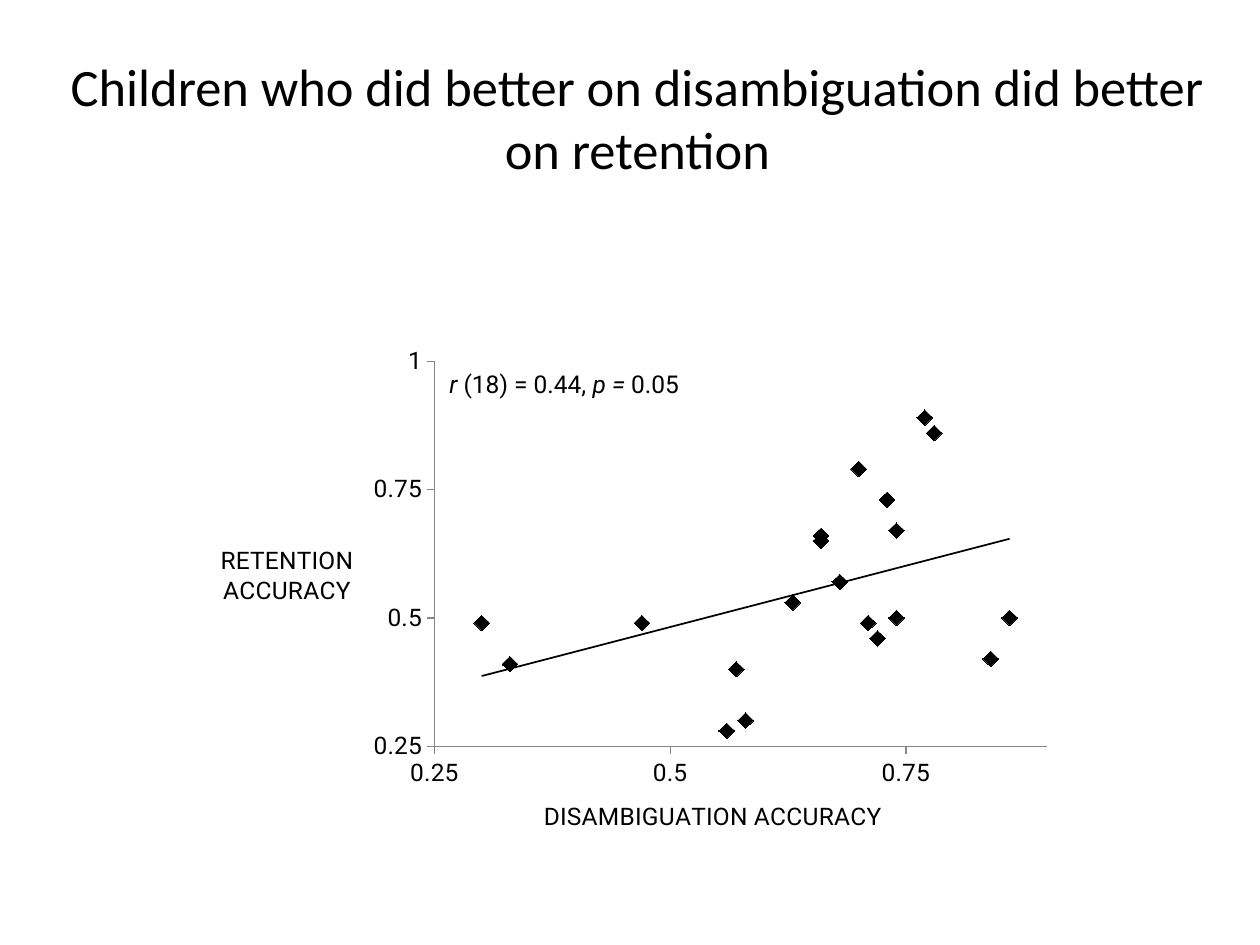
from dataclasses import dataclass

from lxml.etree import SubElement
from pptx import Presentation
from pptx.chart.data import XyChartData
from pptx.dml.color import RGBColor
from pptx.enum.chart import XL_CHART_TYPE, XL_MARKER_STYLE, XL_TICK_LABEL_POSITION, XL_TICK_MARK
from pptx.enum.shapes import MSO_SHAPE
from pptx.enum.text import MSO_ANCHOR, MSO_AUTO_SIZE, PP_ALIGN
from pptx.oxml import parse_xml
from pptx.oxml.ns import nsdecls, qn
from pptx.util import Emu, Pt

PIXEL = 914400 / 126
BLACK = RGBColor(0x00, 0x00, 0x00)
WHITE = RGBColor(0xFF, 0xFF, 0xFF)
AXIS_GRAY = RGBColor(0x86, 0x86, 0x86)
HEADING_FONT = "Calibri"
CHART_FONT = "Roboto"

POINTS = [
    (0.68, 0.57), (0.84, 0.42), (0.57, 0.4), (0.66, 0.65), (0.66, 0.66),
    (0.7, 0.79), (0.73, 0.73), (0.71, 0.49), (0.63, 0.53), (0.58, 0.3),
    (0.3, 0.49), (0.56, 0.28), (0.74, 0.5), (0.72, 0.46), (0.86, 0.5),
    (0.33, 0.41), (0.47, 0.49), (0.78, 0.86), (0.77, 0.89), (0.74, 0.67),
]


@dataclass(frozen=True)
class Box:
    """A rectangle in whole pixels."""

    left: int
    top: int
    width: int
    height: int

    def emu(self) -> tuple:
        """Return the rectangle in EMU."""
        return tuple(Emu(round(side * PIXEL)) for side in (self.left, self.top, self.width, self.height))


@dataclass(frozen=True)
class TextRun:
    """A stretch of text in one style."""

    text: str
    italic: bool = False


@dataclass(frozen=True)
class AxisStyle:
    """The title, its place in the chart and the range of one axis."""

    title_lines: tuple
    title_x: float
    title_y: float
    maximum: float


TITLE_BOX = Box(39, 38, 1197, 158)
STATISTIC_BOX = Box(437, 363, 335, 43)
CHART_BOX = Box(181, 321, 896, 518)
HORIZONTAL = AxisStyle(("DISAMBIGUATION ACCURACY",), 0.4, 0.93, 0.9)
VERTICAL = AxisStyle(("RETENTION", "ACCURACY"), 0.04, 0.43, 1)
STATISTIC = (TextRun("r", True), TextRun(" (18) = 0.44, "), TextRun("p = ", True), TextRun("0.05"))


def style_font(font, name: str, size: int) -> None:
    """Apply a plain black font."""
    font.name = name
    font.size = Pt(size)
    font.bold = False
    font.color.rgb = BLACK


def add_run(paragraph, text_run: TextRun, name: str, size: int) -> None:
    """Append one styled run to a paragraph."""
    run = paragraph.add_run()
    run.text = text_run.text
    style_font(run.font, name, size)
    run.font.italic = text_run.italic


def add_title(slide) -> None:
    """Place and fill the title placeholder."""
    title = slide.shapes.title
    title.left, title.top, title.width, title.height = TITLE_BOX.emu()
    title.text_frame.vertical_anchor = MSO_ANCHOR.MIDDLE
    paragraph = title.text_frame.paragraphs[0]
    paragraph.alignment = PP_ALIGN.CENTER
    heading = TextRun("Children who did better on disambiguation did better on retention")
    add_run(paragraph, heading, HEADING_FONT, 30)


def add_statistic(slide) -> None:
    """Draw the correlation label."""
    shape = slide.shapes.add_shape(MSO_SHAPE.RECTANGLE, *STATISTIC_BOX.emu())
    shape.shadow.inherit = False
    shape.fill.solid()
    shape.fill.fore_color.rgb = WHITE
    shape.line.fill.background()
    frame = shape.text_frame
    frame.word_wrap = True
    frame.auto_size = MSO_AUTO_SIZE.SHAPE_TO_FIT_TEXT
    frame.vertical_anchor = MSO_ANCHOR.TOP
    paragraph = frame.paragraphs[0]
    paragraph.alignment = PP_ALIGN.LEFT
    for text_run in STATISTIC:
        add_run(paragraph, text_run, CHART_FONT, 14)


def set_layout(element, **settings) -> None:
    """Give a chart part a manual layout."""
    layout = element.find(qn("c:layout"))
    if layout is None:
        layout = parse_xml(f"<c:layout {nsdecls('c')}/>")
        element.insert(0, layout)
    manual = SubElement(layout, qn("c:manualLayout"))
    for name, value in settings.items():
        SubElement(manual, qn(f"c:{name}")).set("val", str(value))


def style_axis(axis, style: AxisStyle) -> None:
    """Format one axis and its title."""
    axis.minimum_scale = 0.25
    axis.maximum_scale = style.maximum
    axis.major_unit = 0.25
    axis.has_major_gridlines = False
    axis.major_tick_mark = XL_TICK_MARK.OUTSIDE
    axis.minor_tick_mark = XL_TICK_MARK.NONE
    axis.tick_label_position = XL_TICK_LABEL_POSITION.LOW
    axis.tick_labels.number_format = "General"
    axis.tick_labels.number_format_is_linked = False
    style_font(axis.tick_labels.font, CHART_FONT, 14)
    axis.format.line.color.rgb = AXIS_GRAY
    axis.format.line.width = Pt(0.75)
    frame = axis.axis_title.text_frame
    for index, line in enumerate(style.title_lines):
        paragraph = frame.add_paragraph() if index else frame.paragraphs[0]
        paragraph.alignment = PP_ALIGN.CENTER
        add_run(paragraph, TextRun(line), CHART_FONT, 14)
    body = axis.axis_title._element.find(".//" + qn("a:bodyPr"))
    body.set("rot", "0")
    body.set("vert", "horz")
    set_layout(axis.axis_title._element, xMode="edge", yMode="edge", x=style.title_x, y=style.title_y)


def add_trend_line(series) -> None:
    """Add a thin linear trend line to a series."""
    trend_line = parse_xml(
        f'<c:trendline {nsdecls("c", "a")}><c:spPr><a:ln w="12700"><a:solidFill>'
        f'<a:srgbClr val="{BLACK}"/></a:solidFill></a:ln></c:spPr>'
        '<c:trendlineType val="linear"/><c:dispRSqr val="0"/><c:dispEq val="0"/></c:trendline>'
    )
    series._element.find(qn("c:xVal")).addprevious(trend_line)


def clear_backgrounds(chart) -> None:
    """Make the chart and plot areas transparent."""
    area = f"<c:spPr {nsdecls('c', 'a')}><a:noFill/><a:ln><a:noFill/></a:ln></c:spPr>"
    chart_element = chart._chartSpace.find(qn("c:chart"))
    chart_element.addnext(parse_xml(area))
    chart_element.find(qn("c:plotArea")).append(parse_xml(area))


def add_scatter(slide) -> None:
    """Draw the scatter chart of retention against disambiguation."""
    data = XyChartData()
    points = data.add_series("Series 1")
    for horizontal, vertical in POINTS:
        points.add_data_point(horizontal, vertical)
    chart = slide.shapes.add_chart(XL_CHART_TYPE.XY_SCATTER, *CHART_BOX.emu(), data).chart
    chart.has_legend = False
    chart.has_title = False
    style_font(chart.font, HEADING_FONT, 10)
    chart.plots[0].vary_by_categories = False
    style_axis(chart.category_axis, HORIZONTAL)
    style_axis(chart.value_axis, VERTICAL)
    series = chart.plots[0].series[0]
    series.format.line.fill.background()
    series.marker.style = XL_MARKER_STYLE.DIAMOND
    series.marker.size = 9
    series.marker.format.fill.solid()
    series.marker.format.fill.fore_color.rgb = BLACK
    series.marker.format.line.color.rgb = BLACK
    add_trend_line(series)
    plot_area = chart._chartSpace.find(".//" + qn("c:plotArea"))
    set_layout(plot_area, layoutTarget="inner", xMode="edge", yMode="edge", x=0.283, y=0.079, w=0.684, h=0.756)
    clear_backgrounds(chart)


def main() -> None:
    """Build and save the slide."""
    presentation = Presentation()
    presentation.slide_width, presentation.slide_height = Box(0, 0, 1260, 945).emu()[2:]
    slide = presentation.slides.add_slide(presentation.slide_layouts[5])
    add_title(slide)
    add_statistic(slide)
    add_scatter(slide)
    presentation.save("out.pptx")


if __name__ == "__main__":
    main()
